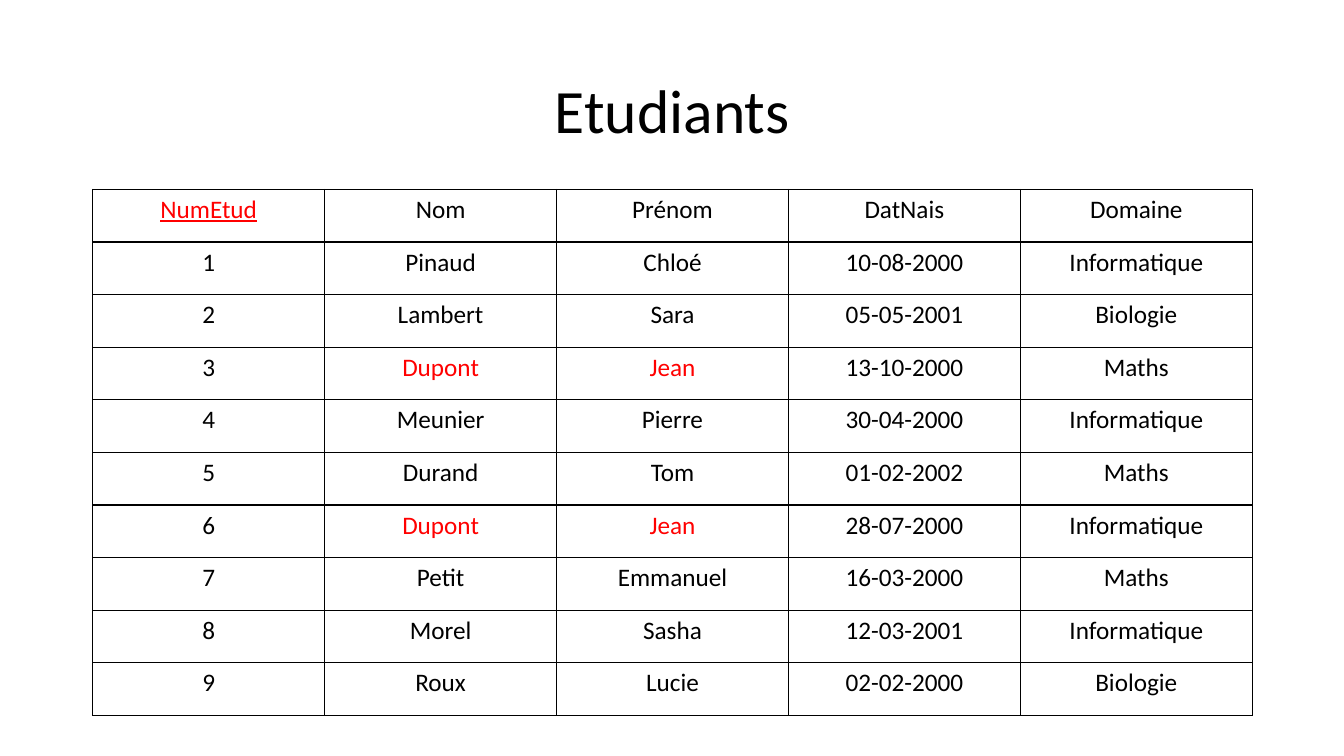
"""Build the "Etudiants" slide: a title above a bordered table of students."""
from typing import NamedTuple

from lxml import etree
from pptx import Presentation
from pptx.dml.color import RGBColor
from pptx.enum.text import MSO_ANCHOR, MSO_AUTO_SIZE, PP_ALIGN
from pptx.oxml.ns import qn
from pptx.util import Emu, Pt

CENTER = PP_ALIGN.CENTER
MIDDLE = MSO_ANCHOR.MIDDLE
NO_AUTOFIT = MSO_AUTO_SIZE.NONE
BLACK = RGBColor(0x00, 0x00, 0x00)
RED = RGBColor(0xFF, 0x00, 0x00)
FONT = "Calibri"
EMU_PER_PX = 9144
BORDER_WIDTH = Pt(1)
BORDER_TAGS = ("a:lnL", "a:lnR", "a:lnT", "a:lnB")
TITLE_LAYOUT = 5


class Student(NamedTuple):
    number: str
    last_name: str
    first_name: str
    birth_date: str
    field: str


HEADINGS = Student("NumEtud", "Nom", "Prénom", "DatNais", "Domaine")
STUDENTS = [
    Student("1", "Pinaud", "Chloé", "10-08-2000", "Informatique"),
    Student("2", "Lambert", "Sara", "05-05-2001", "Biologie"),
    Student("3", "Dupont", "Jean", "13-10-2000", "Maths"),
    Student("4", "Meunier", "Pierre", "30-04-2000", "Informatique"),
    Student("5", "Durand", "Tom", "01-02-2002", "Maths"),
    Student("6", "Dupont", "Jean", "28-07-2000", "Informatique"),
    Student("7", "Petit", "Emmanuel", "16-03-2000", "Maths"),
    Student("8", "Morel", "Sasha", "12-03-2001", "Informatique"),
    Student("9", "Roux", "Lucie", "02-02-2000", "Biologie"),
]
KEY_HEADING = HEADINGS.number
RED_TEXTS = {KEY_HEADING, "Dupont", "Jean"}


def px(length: int) -> Emu:
    return Emu(length * EMU_PER_PX)


def format_paragraph(para, size: int, color: RGBColor) -> None:
    para.alignment = CENTER
    para.font.name = FONT
    para.font.size = Pt(size)
    para.font.color.rgb = color


def add_borders(cell) -> None:
    properties = cell._tc.get_or_add_tcPr()
    for tag in BORDER_TAGS:
        line = etree.SubElement(properties, qn(tag), w=str(BORDER_WIDTH))
        fill = etree.SubElement(line, qn("a:solidFill"))
        etree.SubElement(fill, qn("a:srgbClr"), val=str(BLACK))


def fill_cell(cell, text: str) -> None:
    add_borders(cell)
    cell.fill.background()
    cell.text = text
    para = cell.text_frame.paragraphs[0]
    format_paragraph(para, 18, RED if text in RED_TEXTS else BLACK)
    if text == KEY_HEADING:
        para.font.underline = True


def set_title(page, text: str) -> None:
    title = page.shapes.title
    title.left, title.top, title.width, title.height = px(92), px(40), px(1150), px(145)
    frame = title.text_frame
    frame.text = text
    frame.vertical_anchor = MIDDLE
    frame.auto_size = NO_AUTOFIT
    para = frame.paragraphs[0]
    para.line_spacing = 0.9
    format_paragraph(para, 44, BLACK)


def add_student_table(page) -> None:
    rows = [HEADINGS, *STUDENTS]
    table = page.shapes.add_table(
        len(rows), len(HEADINGS), px(92), px(188), px(1150), px(522)
    ).table
    table.first_row = False
    table.horz_banding = False
    for row_index, row in enumerate(rows):
        for column_index, text in enumerate(row):
            fill_cell(table.cell(row_index, column_index), text)


def main() -> None:
    deck = Presentation()
    deck.slide_width, deck.slide_height = px(1333), px(750)
    page = deck.slides.add_slide(deck.slide_layouts[TITLE_LAYOUT])
    set_title(page, "Etudiants")
    add_student_table(page)
    deck.save("out.pptx")


if __name__ == "__main__":
    main()
